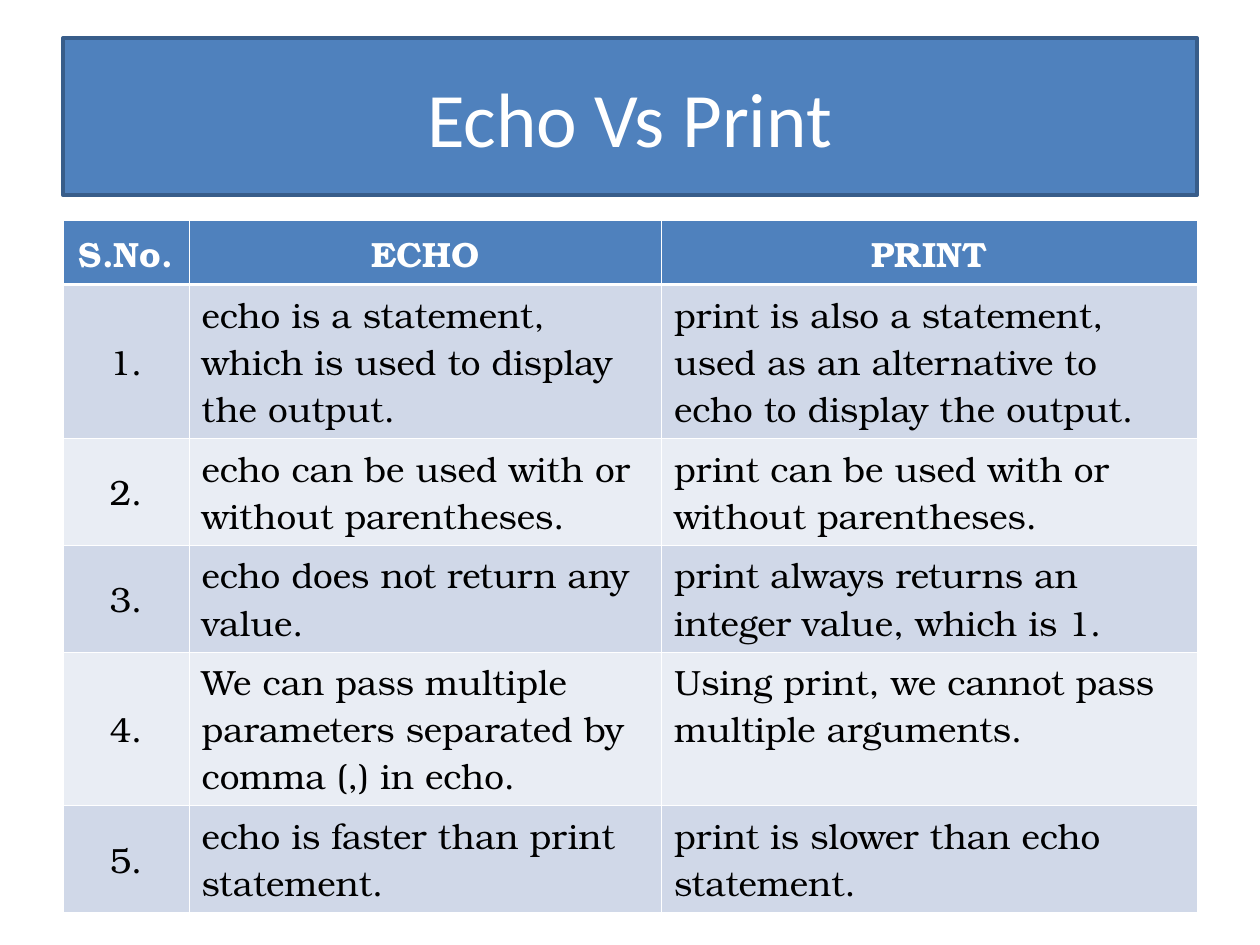
from dataclasses import dataclass

from pptx import Presentation
from pptx.dml.color import RGBColor
from pptx.enum.shapes import MSO_SHAPE
from pptx.enum.text import MSO_ANCHOR, PP_ALIGN
from pptx.oxml.ns import qn
from pptx.util import Pt
from lxml.etree import SubElement


@dataclass(frozen=True)
class Theme:
    blue: str = "4F81BD"
    outline: str = "385D8A"
    bands: tuple = ("D0D8E8", "E9EDF4")
    white: str = "FFFFFF"
    black: str = "000000"
    title_font: str = "Calibri"
    table_font: str = "TeX Gyre Bonum"
    title_size: int = 44
    table_size: int = 20
    thin: float = 0.45
    thick: float = 1.47


def rgb(value):
    return RGBColor.from_string(value)


def write(tf, text, *, font, size, color, bold=False, align=PP_ALIGN.LEFT):
    tf.word_wrap = True
    p = tf.paragraphs[0]
    p.alignment = align
    r = p.add_run()
    r.text = text
    r.font.name = font
    r.font.size = Pt(size)
    r.font.bold = bold
    r.font.color.rgb = rgb(color)


class Deck:
    def __init__(self, prs, theme):
        self.theme = theme
        self.s = prs.slides.add_slide(prs.slide_layouts[6])

    def banner(self, text, x, y, w, h):
        t = self.theme
        sp = self.s.shapes.add_shape(MSO_SHAPE.RECTANGLE, Pt(x), Pt(y), Pt(w), Pt(h))
        sp.shadow.inherit = False
        sp.fill.solid()
        sp.fill.fore_color.rgb = rgb(t.blue)
        sp.line.color.rgb = rgb(t.outline)
        sp.line.width = Pt(2)
        sp.text_frame.vertical_anchor = MSO_ANCHOR.MIDDLE
        write(sp.text_frame, text, font=t.title_font, size=t.title_size,
              color=t.white, align=PP_ALIGN.CENTER)

    def borders(self, cell, top, bottom):
        thin = self.theme.thin
        tc_pr = cell._tc.get_or_add_tcPr()
        for side, width in (("L", thin), ("R", thin), ("T", top), ("B", bottom)):
            ln = SubElement(tc_pr, qn(f"a:ln{side}"), w=str(int(Pt(width))))
            fill = SubElement(ln, qn("a:solidFill"))
            SubElement(fill, qn("a:srgbClr"), val=self.theme.white)

    def table(self, rows, x, y, widths, heights):
        t = self.theme
        tbl = self.s.shapes.add_table(len(rows), len(widths), Pt(x), Pt(y),
                                      Pt(sum(widths)), Pt(sum(heights))).table
        for col, width in zip(tbl.columns, widths):
            col.width = Pt(width)
        for i, (row, height) in enumerate(zip(rows, heights)):
            tbl.rows[i].height = Pt(height)
            header = i == 0
            for j, text in enumerate(row):
                cell = tbl.cell(i, j)
                # A thick rule separates the header from the body
                self.borders(cell, t.thick if i == 1 else t.thin,
                             t.thick if header else t.thin)
                cell.fill.solid()
                cell.fill.fore_color.rgb = rgb(t.blue if header else t.bands[(i - 1) % 2])
                number = j == 0 and not header
                cell.vertical_anchor = MSO_ANCHOR.MIDDLE if number else MSO_ANCHOR.TOP
                write(cell.text_frame, text, font=t.table_font, size=t.table_size,
                      color=t.white if header else t.black, bold=header,
                      align=PP_ALIGN.CENTER if header or number else PP_ALIGN.LEFT)


HEADINGS = ("S.No.", "ECHO", "PRINT")
COMPARISONS = [
    ("echo is a statement, which is used to display the output.",
     "print is also a statement, used as an alternative to echo to display the output."),
    ("echo can be used with or without parentheses.",
     "print can be used with or without parentheses."),
    ("echo does not return any value.",
     "print always returns an integer value, which is 1."),
    ("We can pass multiple parameters separated by comma (,) in echo.",
     "Using print, we cannot pass multiple arguments."),
    ("echo is faster than print statement.",
     "print is slower than echo statement."),
]


def main():
    prs = Presentation()
    prs.slide_width, prs.slide_height = Pt(720), Pt(540)
    deck = Deck(prs, Theme())

    # Title banner
    deck.banner("Echo Vs Print", 36, 21.6, 648, 90)

    # Comparison table, numbered by row
    rows = [HEADINGS] + [(f"{n}.", *pair) for n, pair in enumerate(COMPARISONS, 1)]
    two_lines, three_lines = 55.2, 79.2
    deck.table(rows, 36, 126, widths=(72, 270, 306),
               heights=(31.2, three_lines, two_lines, two_lines, three_lines, two_lines))

    prs.save("out.pptx")


if __name__ == "__main__":
    main()
